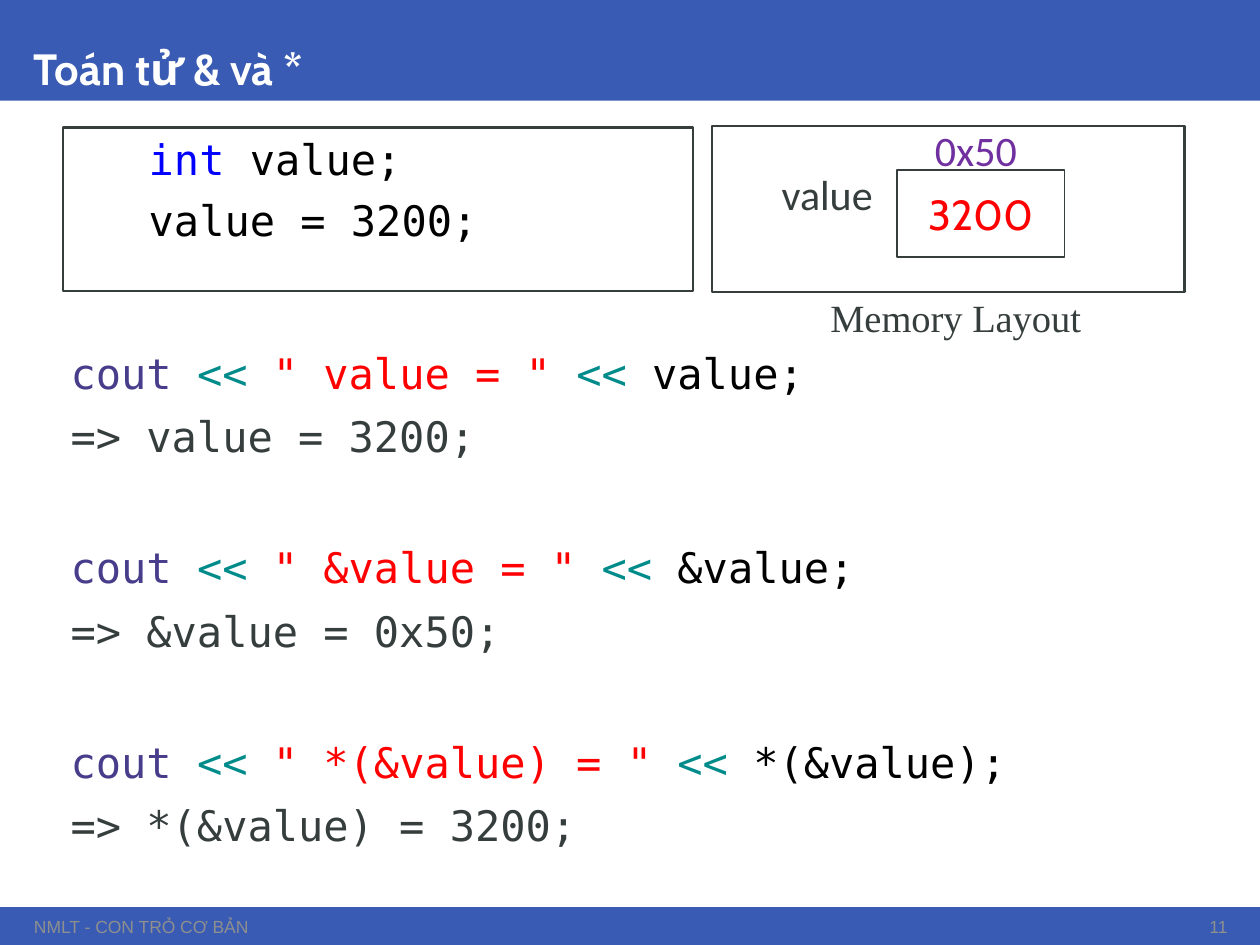
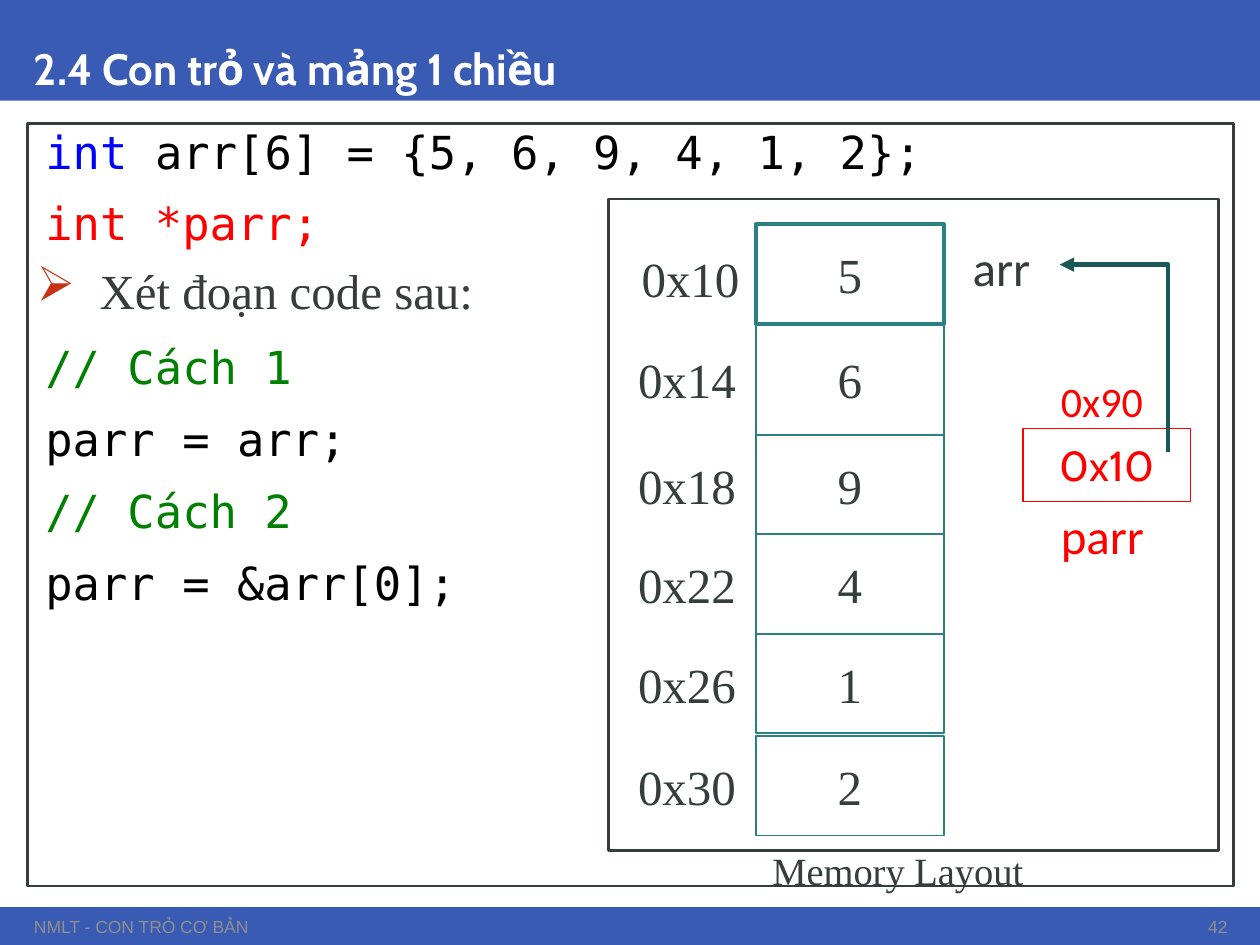
from dataclasses import dataclass

from lxml.etree import SubElement
from pptx import Presentation
from pptx.dml.color import RGBColor
from pptx.enum.shapes import MSO_SHAPE
from pptx.enum.text import MSO_ANCHOR, PP_ALIGN
from pptx.oxml.ns import qn
from pptx.util import Pt

# Shared colours and fonts
BAND, INK, FOOTER_GREY, WHITE, BLACK = "3A5BB3", "363D3D", "8E8F8F", "FFFFFF", "000000"
RED, BLUE, GREEN, PURPLE = "FF0000", "0000FF", "008000", "7030A0"
STREAM, OPERATOR = "483D8B", "008B8B"
CELL_LINE, ARROW, BULLET = "2A8082", "1D5859", "C63214"
CODE, SERIF, SANS, HEADING = "DejaVu Sans Mono", "Times New Roman", "Calibri", "Cabin"
LEFT, CENTER, RIGHT = PP_ALIGN.LEFT, PP_ALIGN.CENTER, PP_ALIGN.RIGHT
TOP, MIDDLE, BOTTOM = MSO_ANCHOR.TOP, MSO_ANCHOR.MIDDLE, MSO_ANCHOR.BOTTOM


@dataclass
class Area:
    left: float
    top: float
    width: float
    height: float


@dataclass
class Span:
    text: str
    color: str = INK


@dataclass
class Para:
    spans: list[Span]
    before: float = 0
    margin: float = 0
    indent: float = 0
    bullet: str = ""


@dataclass
class MemoryCell:
    address: str
    value: str
    height: float = 56.88
    border: float = 1
    gap: float = 0
    nudge: float = 0


def rgb(color: str) -> RGBColor:
    return RGBColor.from_string(color)


def places(area: Area) -> list:
    return [Pt(length) for length in (area.left, area.top, area.width, area.height)]


def add_box(page, area: Area, fill: str = "", line: str = "", weight: float = 1):
    """Rectangle with optional fill and outline."""
    box = page.shapes.add_shape(MSO_SHAPE.RECTANGLE, *places(area))
    box.shadow.inherit = False
    if fill:
        box.fill.solid()
        box.fill.fore_color.rgb = rgb(fill)
    else:
        box.fill.background()
    if line:
        box.line.color.rgb = rgb(line)
        box.line.width = Pt(weight)
    else:
        box.line.fill.background()
    return box


def write(box, content: str | list[Para], size: float, font: str = SANS, color: str = INK,
          align=LEFT, anchor=MIDDLE, bold: bool = False, spacing: float = 1.0) -> None:
    """Fill a shape with one line of text or a list of paragraphs."""
    frame = box.text_frame
    frame.word_wrap = True
    frame.vertical_anchor = anchor
    frame.margin_left = frame.margin_right = Pt(3.6)
    frame.margin_top = frame.margin_bottom = Pt(3.6)
    lines = [Para([Span(content, color)])] if isinstance(content, str) else content
    for number, line in enumerate(lines):
        para = frame.add_paragraph() if number else frame.paragraphs[0]
        properties = para._p.get_or_add_pPr()
        properties.set("marL", str(Pt(line.margin)))
        properties.set("indent", str(Pt(line.indent)))
        if line.bullet:
            tint = SubElement(properties, qn("a:buClr"))
            SubElement(tint, qn("a:srgbClr"), val=BULLET)
            SubElement(properties, qn("a:buChar"), char=line.bullet)
        para.alignment = align
        para.line_spacing = spacing
        para.space_before = Pt(line.before)
        for span in line.spans:
            run = para.add_run()
            run.text = span.text
            run.font.size = Pt(size)
            run.font.name = font
            run.font.bold = bold
            run.font.color.rgb = rgb(span.color)


def add_text(page, area: Area, content: str | list[Para], size: float, **style) -> None:
    write(page.shapes.add_textbox(*places(area)), content, size, **style)


def add_page(deck, title: str, number: int):
    """Blank page with bands, title and footer."""
    page = deck.slides.add_slide(deck.slide_layouts[6])
    add_box(page, Area(0, 0, 720, 57.6), fill=BAND)
    add_box(page, Area(0, 518.4, 720, 21.6), fill=BAND)
    add_text(page, Area(15.84, 0, 689, 57.6), title, 25, font=HEADING, color=WHITE,
             bold=True, anchor=BOTTOM, spacing=0.9)
    footer = dict(size=10, font="Arial", color=FOOTER_GREY)
    add_text(page, Area(15.84, 520.5, 594.7, 18), "NMLT - CON TRỎ CƠ BẢN", **footer)
    add_text(page, Area(665, 520.5, 40, 18), str(number), align=RIGHT, **footer)
    return page


def add_memory_layout(page, area: Area, caption: Area) -> None:
    add_box(page, area, fill=WHITE, line=INK, weight=1.5)
    add_text(page, caption, "Memory Layout", 22, font=SERIF, anchor=TOP)


def add_variable(page, area: Area, value: str, line: str) -> None:
    """Framed value of a single variable."""
    box = add_box(page, area, fill=WHITE, line=line)
    write(box, value, 24, font=HEADING, color=RED, align=CENTER)


def add_pointer_arrow(page, points: list[tuple[float, float]]) -> None:
    start, *rest = [(Pt(x), Pt(y)) for x, y in points]
    builder = page.shapes.build_freeform(*start)
    builder.add_line_segments(rest, close=False)
    arrow = builder.convert_to_shape()
    arrow.shadow.inherit = False
    arrow.fill.background()
    arrow.line.color.rgb = rgb(ARROW)
    arrow.line.width = Pt(2.75)
    SubElement(arrow.line._get_or_add_ln(), qn("a:tailEnd"), type="triangle")


def build_operators_page(deck) -> None:
    page = add_page(deck, "Toán tử & và *", 11)

    # Printed expressions, each followed by its output
    printed = []
    for name, result in [("value", "3200"), ("&value", "0x50"), ("*(&value)", "3200")]:
        printed.append(Para([
            Span("cout ", STREAM), Span("<< ", OPERATOR), Span(f'" {name} = " ', RED),
            Span("<<", OPERATOR), Span(f" {name};", BLACK),
        ], before=51.5 if printed else 0, indent=6.5))
        printed.append(Para([Span(f"=> {name} = {result};")], before=13, indent=6.5))
    add_text(page, Area(30.24, 200.2, 642.2, 291.6), printed, 24, font=CODE,
             anchor=TOP, spacing=0.81)

    # Declaration
    declaration = [
        Para([Span("int", BLUE), Span(" value;", BLACK)], indent=45.4),
        Para([Span("value = 3200;", BLACK)], before=6, indent=45.4),
    ]
    write(add_box(page, Area(36, 72.7, 360, 93.6), line=INK, weight=1.5),
          declaration, 24, font=CODE, anchor=TOP)

    # Memory with one variable
    add_memory_layout(page, Area(406.8, 72, 270, 95), Area(470.9, 164.2, 164.9, 32.4))
    add_variable(page, Area(512.6, 97.2, 95.8, 49.7), "3200", INK)
    add_text(page, Area(421.9, 92.9, 101.5, 36), "value", 24, align=CENTER)
    add_text(page, Area(506.9, 67.7, 101.5, 36), "0x50", 24, color=PURPLE, align=CENTER)


def build_array_page(deck) -> None:
    page = add_page(deck, "2.4 Con trỏ và mảng 1 chiều", 42)

    # Code; the wide gap leaves room for the bullet line
    code = [
        Para([Span("int", BLUE), Span(" arr[6] = {5, 6, 9, 4, 1, 2};", BLACK)], indent=6.5)
    ]
    for text, color, before in [
        ("int *parr;", RED, 13), ("// Cách 1", GREEN, 54), ("parr = arr;", BLACK, 13),
        ("// Cách 2", GREEN, 13), ("parr = &arr[0];", BLACK, 13),
    ]:
        code.append(Para([Span(text, color)], before=before, indent=6.5))
    write(add_box(page, Area(15.84, 70.6, 689, 435.6), line=INK, weight=1.5),
          code, 26, font=CODE, anchor=TOP, spacing=0.9)

    add_memory_layout(page, Area(347.8, 113.8, 348.5, 372.2), Area(437.8, 480.2, 164.9, 32.4))

    # Pointer variable
    add_variable(page, Area(584.6, 244.8, 95.8, 41.8), "0x10", RED)
    add_text(page, Area(555.8, 284.4, 101.5, 42.5), "parr", 28, color=RED, align=RIGHT)
    add_text(page, Area(578.9, 211, 101.5, 36), "0x90", 24, color=RED, align=CENTER)

    # Array cells with their addresses
    cells = [
        MemoryCell("0x10", "5", border=2.25, nudge=2),
        MemoryCell("0x14", "6", height=63.36),
        MemoryCell("0x18", "9"),
        MemoryCell("0x22", "4"),
        MemoryCell("0x26", "1"),
        MemoryCell("0x30", "2", gap=1.44),
    ]
    top, width = 128.16, 107.28
    for cell in cells:
        top += cell.gap
        box = add_box(page, Area(432, top, width, cell.height), line=CELL_LINE,
                      weight=cell.border)
        write(box, cell.value, 28, font=SERIF, align=CENTER)
        add_text(page, Area(316.8 + cell.nudge, top + cell.nudge, width, cell.height),
                 cell.address, 28, font=SERIF, align=RIGHT)
        top += cell.height

    # Array name and the arrow towards it
    add_text(page, Area(552.2, 131, 59.8, 42.5), "arr", 28)
    add_pointer_arrow(page, [(667.4, 258.5), (667.4, 151.2), (605.5, 151.2)])

    bullet_line = Para([Span("Xét đoạn code sau:")], margin=42.5, indent=-36, bullet="➢")
    add_text(page, Area(10.8, 145.4, 280, 38.2), [bullet_line], 28, font=SERIF, anchor=TOP)


def main() -> None:
    deck = Presentation()
    deck.slide_width, deck.slide_height = Pt(720), Pt(540)
    build_operators_page(deck)
    build_array_page(deck)
    deck.save("out.pptx")


if __name__ == "__main__":
    main()
